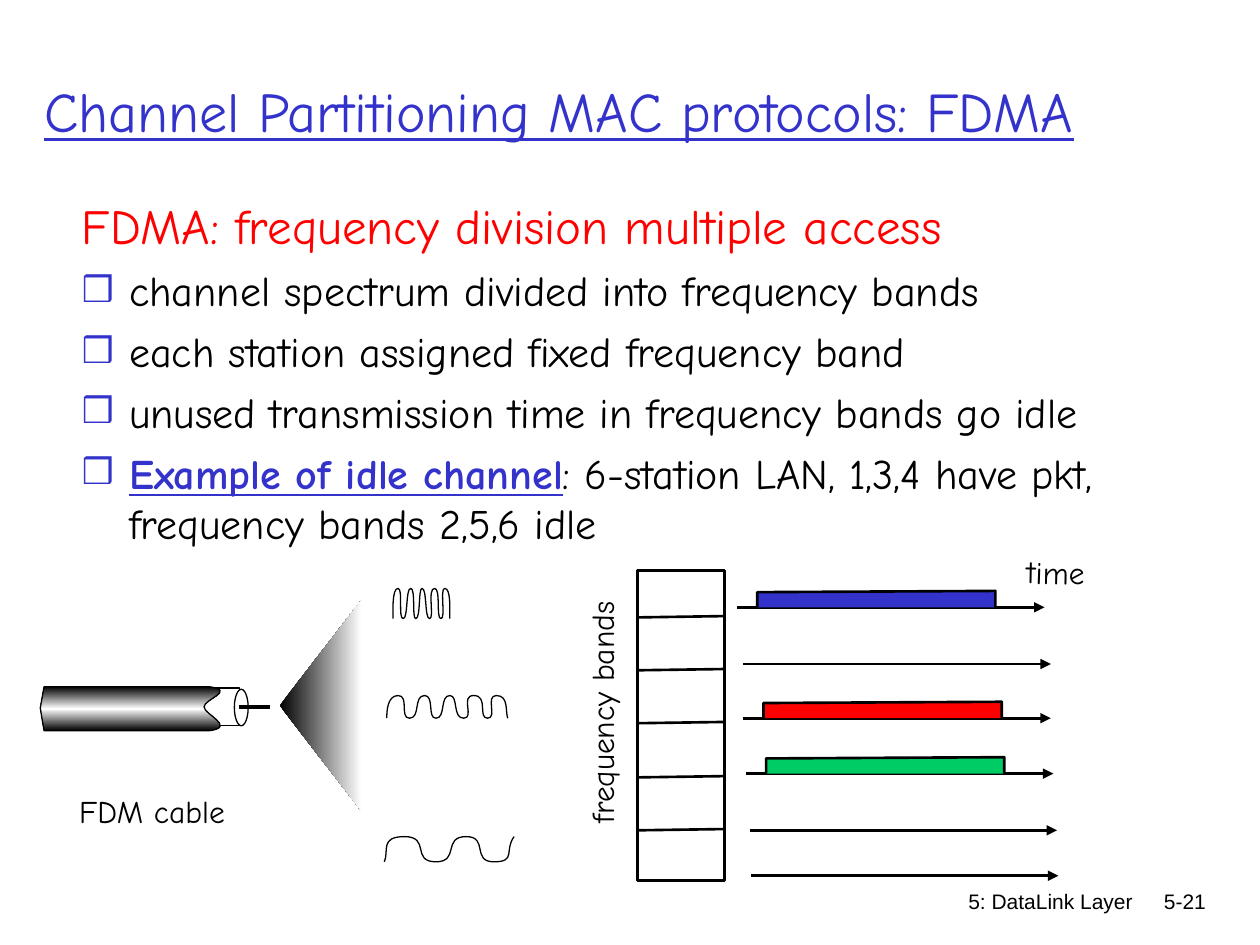
import copy

import pptx
import pptx.dml.color
import pptx.enum.shapes
import pptx.enum.text
import pptx.oxml
import pptx.oxml.ns
import pptx.util
from pptx.util import Inches

COLORS = {"black": "000000", "white": "FFFFFF", "blue": "3333CC",
          "red": "FF0000", "green": "00CC66"}
HAND, SANS = "Comic Neue", "Arial"
SHAPE = pptx.enum.shapes.MSO_SHAPE
ALIGN = pptx.enum.text.PP_ALIGN
FIT = pptx.enum.text.MSO_AUTO_SIZE


def rgb(name):
    return pptx.dml.color.RGBColor.from_string(COLORS[name])


def add_xml(parent, tag, attrs="", inner=""):
    ns = pptx.oxml.ns.nsdecls("a")
    element = pptx.oxml.parse_xml(f"<a:{tag} {ns} {attrs}>{inner}</a:{tag}>")
    parent.append(element)
    return element


class SlideBuilder:
    def __init__(self, slide):
        self.s = slide

    def font(self, p, size, color="black", name=HAND, underline=None):
        p.font.name, p.font.size = name, pptx.util.Pt(size)
        p.font.color.rgb = rgb(color)
        p.font.underline = underline

    def place(self, sp, x, y, w, h):
        sp.left, sp.top, sp.width, sp.height = map(Inches, (x, y, w, h))

    def style(self, sp, fill, width):
        sp.shadow.inherit = False
        if isinstance(fill, tuple):
            self.gradient(sp.fill, *fill)
        elif fill:
            sp.fill.solid()
            sp.fill.fore_color.rgb = rgb(fill)
        else:
            sp.fill.background()
        if width:
            sp.line.color.rgb = rgb("black")
            sp.line.width = pptx.util.Pt(width)
        else:
            sp.line.fill.background()

    def gradient(self, fill, angle, names):
        fill.gradient()
        fill.gradient_angle = angle
        first = fill.gradient_stops[0]._gs
        for _ in names[2:]:
            first.addnext(copy.deepcopy(first))
        for i, (stop, name) in enumerate(zip(fill.gradient_stops, names)):
            stop.position = i / (len(names) - 1)
            stop.color.rgb = rgb(name)

    def title(self, text, box):
        sp = self.s.shapes.title
        self.place(sp, *box)
        tf = sp.text_frame
        tf.auto_size = FIT.NONE
        tf.vertical_anchor = pptx.enum.text.MSO_ANCHOR.MIDDLE
        p = tf.paragraphs[0]
        p.text, p.alignment = text, ALIGN.LEFT
        self.font(p, 32, "blue", underline=True)

    def body(self, heading, items, box):
        sp = self.s.placeholders[1]
        self.place(sp, *box)
        tf = sp.text_frame
        tf.auto_size = FIT.NONE
        for i, (lead, text) in enumerate([("", heading)] + items):
            p = tf.paragraphs[0] if i == 0 else tf.add_paragraph()
            p.space_before = pptx.util.Pt(6 if i else 0)
            pPr = p._p.get_or_add_pPr()
            pPr.set("marL", str(pptx.util.Pt(27)))
            pPr.set("indent", str(pptx.util.Pt(-27)))
            if i:
                add_xml(pPr, "buClr", inner=f'<a:srgbClr val="{COLORS["blue"]}"/>')
                add_xml(pPr, "buSzPct", 'val="85000"')
                add_xml(pPr, "buChar", 'char="❒"')
            else:
                add_xml(pPr, "buNone")
            self.font(p, 24 if i else 28, "black" if i else "red")
            if lead:
                r = p.add_run()
                r.text = lead
                r.font.bold = r.font.underline = True
                r.font.color.rgb = rgb("blue")
            p.add_run().text = text

    def label(self, text, box, size=18, name=HAND, rotation=0):
        sp = self.s.shapes.add_textbox(*map(Inches, box))
        sp.rotation = rotation
        tf = sp.text_frame
        tf.word_wrap = False
        tf.auto_size = FIT.SHAPE_TO_FIT_TEXT
        p = tf.paragraphs[0]
        p.text = text
        self.font(p, size, name=name)
        return sp

    def footer(self, text, box):
        sp = self.label(text, box, 12, SANS)
        sp.text_frame.auto_size = FIT.NONE
        sp.text_frame.word_wrap = True
        sp.text_frame.paragraphs[0].alignment = ALIGN.RIGHT

    def shape(self, kind, box, fill="white", width=0.75):
        sp = self.s.shapes.add_shape(kind, *map(Inches, box))
        self.style(sp, fill, width)

    def line(self, x1, y1, x2, y2, width=1.5, arrow=False):
        sp = self.s.shapes.add_connector(
            pptx.enum.shapes.MSO_CONNECTOR.STRAIGHT, *map(Inches, (x1, y1, x2, y2)))
        sp.line.color.rgb = rgb("black")
        sp.line.width = pptx.util.Pt(width)
        if arrow:
            add_xml(sp.line._get_or_add_ln(), "tailEnd", 'type="triangle"')
        add_xml(sp._element.spPr, "effectLst")

    def outline(self, points, fill=None, width=0.75, close=False, curves=None):
        """Join points; those from index curves on are triples of a cubic curve."""
        points = [(Inches(x), Inches(y)) for x, y in points]
        builder = self.s.shapes.build_freeform(*points[0])
        builder.add_line_segments(points[1:], close=close)
        sp = builder.convert_to_shape()
        self.style(sp, fill, width)
        if curves:
            lines = sp._element.findall(".//" + pptx.oxml.ns.qn("a:lnTo"))
            lines = lines[curves - 1:len(points) - 1]
            for i in range(0, len(lines) - 2, 3):
                curve = add_xml(lines[i].getparent(), "cubicBezTo")
                lines[i].addprevious(curve)
                for segment in lines[i:i + 3]:
                    curve.append(segment[0])
                    segment.getparent().remove(segment)

    def wave(self, xs, top, bottom, near_start, near_end):
        """xs: the start, then two control points and an end for each half wave."""
        ys = [bottom]
        for i in range(len(xs) // 3):
            before, after = (top, bottom) if i % 2 else (bottom, top)
            ys += [before, after, after]
        ys[1], ys[-2] = near_start, near_end
        self.outline(list(zip(xs, ys)), curves=1)


def main():
    prs = pptx.Presentation()
    prs.slide_width, prs.slide_height = Inches(10), Inches(7.5)
    b = SlideBuilder(prs.slides.add_slide(prs.slide_layouts[1]))

    # Footer, title and list
    b.footer("5: DataLink Layer", (5.92, 7, 3.17, 0.5))
    b.footer("5-21", (8.93, 7, 0.74, 0.5))
    b.title("Channel Partitioning MAC protocols: FDMA", (0.25, 0.25, 9.44, 1.25))
    b.body("FDMA: frequency division multiple access", [
        ("", "channel spectrum divided into frequency bands"),
        ("", "each station assigned fixed frequency band"),
        ("", "unused transmission time in frequency bands go idle"),
        ("Example of idle channel",
         ": 6-station LAN, 1,3,4 have pkt, frequency bands 2,5,6 idle"),
    ], (0.55, 1.5, 8.99, 5.08))

    # Column of six frequency bands
    b.shape(SHAPE.RECTANGLE, (5.06, 4.53, 0.69, 2.46), width=1.5)
    for y in (4.9, 5.32, 5.74, 6.17, 6.59):
        b.line(5.06, y, 5.74, y - 0.01)

    # Time axis of each band, with a block where it is in use
    for x, y, color in [(5.85, 4.82, "blue"), (5.9, 5.27, None), (5.9, 5.7, "red"),
                        (5.92, 6.14, "green"), (5.95, 6.59, None), (5.96, 6.95, None)]:
        b.line(x, y, x + 2.44, y, arrow=True)
        if color:
            left, right = x + 0.16, x + 2.05
            b.outline([(left, y), (left, y - 0.12), (right, y - 0.13), (right, y)],
                      color, 1.5)
    b.label("frequency bands", (3.79, 5.45, 1.97, 0.4), rotation=270)
    b.label("time", (8.05, 4.34, 0.66, 0.4), rotation=1.1)

    # Fan of signals leaving the cable
    b.outline([(2.87, 4.76), (2.22, 5.6), (2.87, 6.44)],
              (0, ("black", "white")), 0, close=True)

    # Cable: core, sheath, end and wire
    b.shape(SHAPE.RECTANGLE, (1.61, 5.46, 0.29, 0.3))
    b.outline([(0.35, 5.45), (0.32, 5.62), (0.35, 5.8), (1.66, 5.8),
               (1.88, 5.77), (1.62, 5.67), (1.62, 5.61),
               (1.62, 5.55), (1.88, 5.48), (1.66, 5.45)],
              (90, ("black", "white", "black")), close=True, curves=4)
    b.shape(SHAPE.OVAL, (1.86, 5.47, 0.11, 0.29))
    b.line(1.9, 5.61, 2.14, 5.61, 2.25)
    b.label("FDM cable", (0.53, 6.24, 1.36, 0.4))

    # Signals of middle, high and low frequency
    b.wave([3.07, 3.07, 3.07, 3.16, 3.25, 3.17, 3.25, 3.34, 3.28, 3.37, 3.45,
            3.39, 3.46, 3.54, 3.49, 3.57, 3.64, 3.59, 3.68, 3.77, 3.65, 3.76,
            3.88, 3.79, 3.87, 3.95, 3.85, 3.94, 4.04, 4.01, 4.03],
           5.52, 5.7, 5.66, 5.65)
    b.wave([3.12, 3.12, 3.11, 3.16, 3.2, 3.16, 3.2, 3.24, 3.22, 3.26, 3.3,
            3.27, 3.3, 3.34, 3.32, 3.35, 3.39, 3.37, 3.41, 3.45, 3.39, 3.45,
            3.5, 3.46, 3.5, 3.54, 3.49, 3.53, 3.58, 3.57, 3.57],
           4.67, 4.91, 4.86, 4.84)
    b.wave([3.05, 3.09, 3.01, 3.21, 3.42, 3.26, 3.46, 3.65, 3.51, 3.7,
            3.88, 3.74, 3.92, 4.1, 4, 4.08], 6.64, 6.84, 6.76, 6.75)

    prs.save("out.pptx")


if __name__ == "__main__":
    main()
